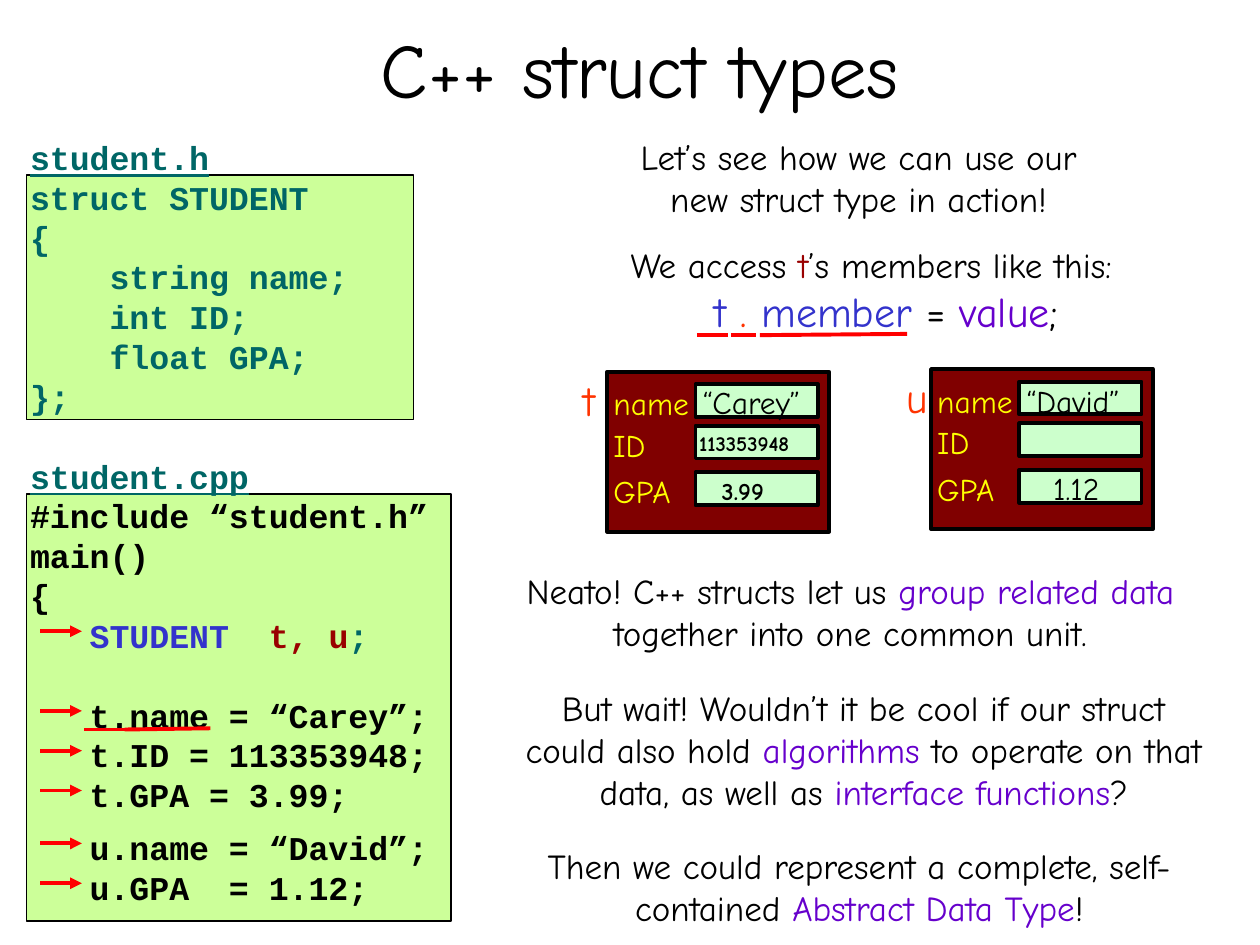
from dataclasses import dataclass

from lxml.etree import SubElement
from pptx import Presentation
from pptx.dml.color import RGBColor
from pptx.enum.shapes import MSO_CONNECTOR, MSO_SHAPE
from pptx.enum.text import MSO_ANCHOR, PP_ALIGN
from pptx.oxml.ns import qn
from pptx.util import Inches, Pt


@dataclass(frozen=True)
class Theme:
    prose_font: str = "Comic Neue"
    code_font: str = "Courier New"
    black: str = "000000"
    teal: str = "006666"
    blue: str = "3333CC"
    maroon: str = "990000"
    purple: str = "6600CC"
    orange: str = "FF3300"
    red: str = "FF0000"
    yellow: str = "FFFF00"
    panel: str = "CCFF99"
    card: str = "800000"
    field: str = "CCFFCC"
    title_size: float = 44
    large_size: float = 24
    body_size: float = 20
    code_size: float = 19
    label_size: float = 18
    code_pitch: float = 22.75


THEME = Theme()


def apply(target, formats):
    for name, value in formats.items():
        setattr(target, name, value)


def add_spans(para, spans, size, font=THEME.prose_font, **formats):
    """Add (text, colour) spans to a paragraph."""
    for text, colour in spans:
        span = para.add_run()
        span.text = text
        apply(span.font, {"name": font, "size": Pt(size), **formats})
        span.font.color.rgb = RGBColor.from_string(colour)


def add_text(shapes, box, paragraphs, align=PP_ALIGN.LEFT, **formats):
    """Add a text box; paragraphs holds (spans, size) pairs."""
    frame = shapes.add_textbox(*map(Inches, box)).text_frame
    frame.word_wrap = True
    for index, (spans, size) in enumerate(paragraphs):
        para = frame.add_paragraph() if index else frame.paragraphs[0]
        para.alignment = align
        add_spans(para, spans, size, **formats)
    return frame


def add_rect(shapes, box, fill, weight):
    shape = shapes.add_shape(MSO_SHAPE.RECTANGLE, *map(Inches, box))
    shape.shadow.inherit = False
    shape.fill.solid()
    shape.fill.fore_color.rgb = RGBColor.from_string(fill)
    shape.line.color.rgb = RGBColor.from_string(THEME.black)
    shape.line.width = Pt(weight)


def add_stroke(shapes, start, end, arrow=False):
    stroke = shapes.add_connector(MSO_CONNECTOR.STRAIGHT, *map(Inches, start + end))
    stroke.line.color.rgb = RGBColor.from_string(THEME.red)
    stroke.line.width = Pt(2.25)
    if arrow:
        SubElement(stroke.line._get_or_add_ln(), qn("a:tailEnd"), type="triangle")
    SubElement(stroke._element.spPr, qn("a:effectLst"))


def build_title(page, box):
    title = page.shapes.title
    apply(title, dict(zip(("left", "top", "width", "height"), map(Inches, box))))
    frame = title.text_frame
    apply(frame, {"word_wrap": True, "vertical_anchor": MSO_ANCHOR.MIDDLE})
    para = frame.paragraphs[0]
    para.alignment = PP_ALIGN.CENTER
    add_spans(para, [("C++ struct types", THEME.black)], THEME.title_size)


def build_code(page, box):
    left, top, _, _ = box
    shapes = page.shapes
    # Panels behind the header and the source file
    add_rect(shapes, (left + 0.07, top + 2.88, 3.37, 3.39), THEME.panel, 0.75)
    add_rect(shapes, (left + 0.07, top + 0.35, 3.07, 1.94), THEME.panel, 0.75)

    # Code lines, with the space in points above those that start a group
    header = ["student.h", "struct STUDENT", "{", "    string name;",
              "    int ID;", "    float GPA;", "};"]
    lines = [[(text, THEME.teal)] for text in header]
    lines.append([("student.cpp", THEME.teal)])
    lines += [[(text, THEME.black)] for text in ("#include “student.h”", "main()", "{")]
    lines.append([("   STUDENT  ", THEME.blue), ("t, u", THEME.maroon), (";", THEME.teal)])
    lines += [[(text, THEME.black)] for text in (
        "   t.name = “Carey”;", "   t.ID = 113353948;", "   t.GPA = 3.99;",
        "   u.name = “David”;", "   u.GPA  = 1.12;")]
    gaps = {7: THEME.code_pitch, 12: THEME.code_pitch, 15: 7.5}
    frame = add_text(shapes, box, [(spans, THEME.code_size) for spans in lines],
                     font=THEME.code_font, bold=True)
    for index, para in enumerate(frame.paragraphs):
        apply(para, {"line_spacing": Pt(THEME.code_pitch),
                     "space_before": Pt(gaps.get(index, 0))})
    for index in (0, 7):
        frame.paragraphs[index].runs[0].font.underline = True

    # One arrow for each statement, following the line pitch
    height = top + 3.97
    for index in range(11, len(lines)):
        if index > 11:
            height += (THEME.code_pitch + gaps.get(index, 0)) / 72
        add_stroke(shapes, (left + 0.18, height), (left + 0.51, height), arrow=True)

    # Underline below t.name
    for start, end, rise in ((0.53, 0.78, 0), (0.68, 0.93, 0), (0.85, 1.53, 0.01)):
        add_stroke(shapes, (left + start, top + 4.75), (left + end, top + 4.75 - rise))


def build_access(page, box):
    left, top, _, _ = box
    intro = [("We access ", THEME.black), ("t", THEME.maroon),
             ("’s members like this:", THEME.black)]
    syntax = [("t ", THEME.blue), (". ", THEME.orange), ("member", THEME.blue),
              (" = ", THEME.black), ("value", THEME.purple), (";", THEME.black)]
    frame = add_text(page.shapes, box,
                     [(intro, THEME.body_size), (syntax, THEME.large_size)],
                     PP_ALIGN.CENTER)
    frame.paragraphs[1]._p.get_or_add_pPr().set("marL", str(Inches(0.24)))
    # Underlines for the variable, the dot and the member
    for start, end, rise in ((1.39, 1.64, 0), (1.66, 1.86, 0), (1.89, 3.06, 0.01)):
        add_stroke(page.shapes, (left + start, top + 0.78), (left + end, top + 0.78 - rise))


def build_record(page, box, variable, values):
    """Draw a struct card; values holds (text, dx, dy, size, bold)."""
    left, top, _, _ = box
    shapes = page.shapes.add_group_shape().shapes
    add_rect(shapes, box, THEME.card, 2.25)
    add_text(shapes, (left - 0.29, top - 0.03, 0.4, 0.5),
             [([(variable, THEME.orange)], THEME.large_size)])
    for label, offset in (("name", 0.1), ("ID", 0.43), ("GPA", 0.8)):
        add_rect(shapes, (left + 0.7, top + offset, 0.97, 0.26), THEME.field, 2.25)
        add_text(shapes, (left - 0.05, top + offset - 0.05, 1.3, 0.4),
                 [([(label, THEME.yellow)], THEME.label_size)])
    for text, dx, dy, size, bold in values:
        add_text(shapes, (left + dx, top + dy, 1.2, 0.4),
                 [([(text, THEME.black)], size)], bold=bold)


def build_prose(page, box, spans):
    add_text(page.shapes, box, [(spans, THEME.body_size)], PP_ALIGN.CENTER)


def main():
    deck = Presentation()
    apply(deck, {"slide_width": Inches(10), "slide_height": Inches(7.5)})
    page = deck.slides.add_slide(deck.slide_layouts[5])
    black, purple = THEME.black, THEME.purple

    build_title(page, (0.83, -0.09, 8.5, 1.25))
    build_code(page, (0.14, 1.04, 3.5, 6.2))
    build_access(page, (4.14, 1.88, 5.55, 0.83))

    # Struct variables
    build_record(page, (4.82, 2.95, 1.76, 1.27), "t", [
        ("“Carey”", 0.66, 0.04, THEME.label_size, False),
        ("113353948", 0.63, 0.42, 12, True),
        ("3.99", 0.81, 0.78, 14, True)])
    build_record(page, (7.39, 2.93, 1.76, 1.27), "u", [
        ("“David”", 0.66, 0.05, THEME.label_size, False),
        ("1.12", 0.87, 0.74, THEME.label_size, False)])

    # Commentary
    build_prose(page, (4.82, 1.03, 3.99, 0.77), [
        ("Let’s see how we can use our new struct type in action!", black)])
    build_prose(page, (3.74, 4.47, 6.02, 0.77), [
        ("Neato! C++ structs let us ", black), ("group related data", purple),
        (" together into one common unit.", black)])
    build_prose(page, (4.01, 5.4, 5.69, 1.1), [
        ("But wait! Wouldn’t it be cool if our struct could also hold ", black),
        ("algorithms", purple), (" to operate on that data, as well as ", black),
        ("interface functions", purple), ("?", black)])
    build_prose(page, (4.07, 6.65, 5.5, 0.77), [
        ("Then we could represent a complete, self-contained ", black),
        ("Abstract Data Type", purple), ("!", black)])
    deck.save("out.pptx")


if __name__ == "__main__":
    main()
